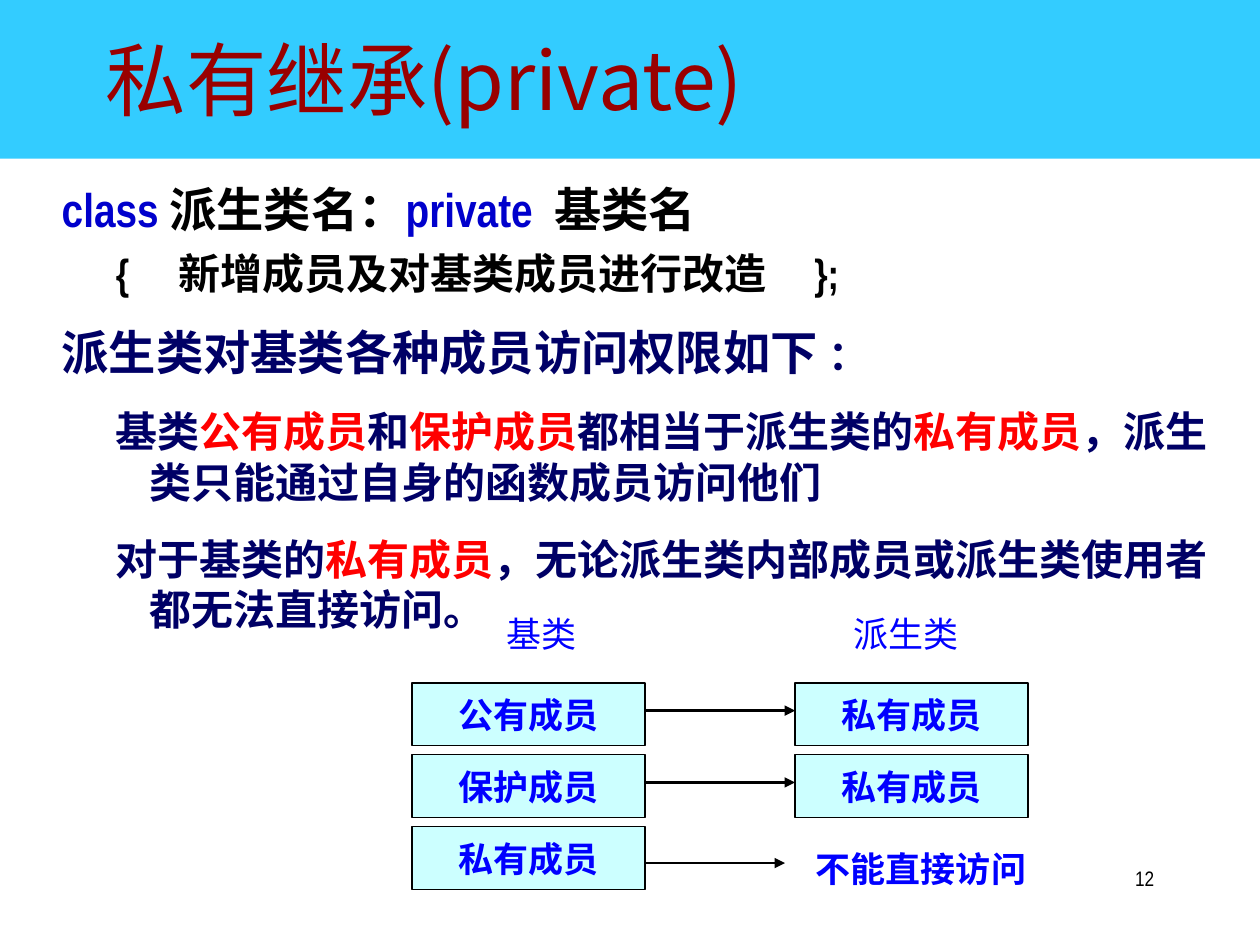
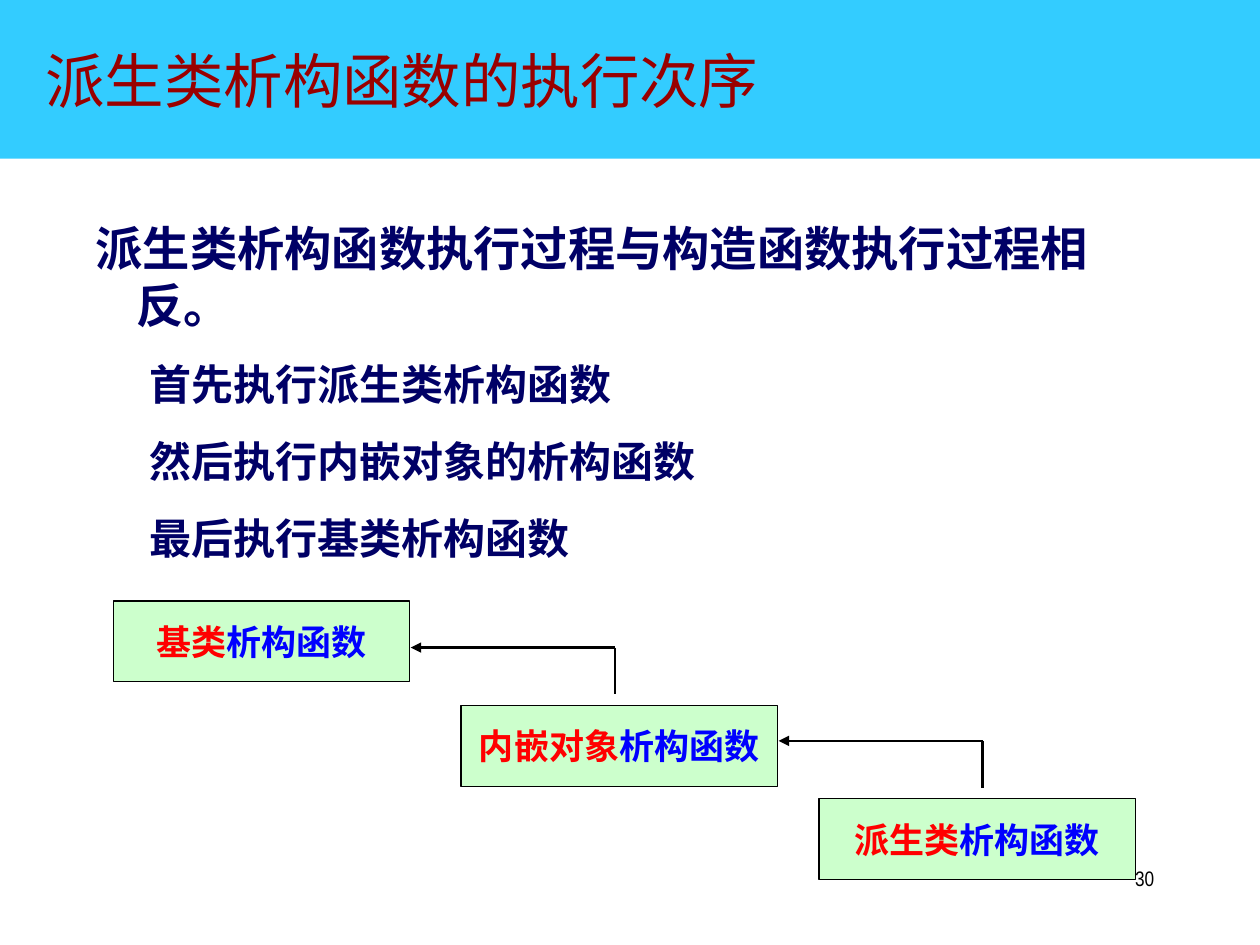
from lxml import etree
from pptx import Presentation
from pptx.dml.color import RGBColor
from pptx.enum.shapes import MSO_CONNECTOR, MSO_SHAPE
from pptx.enum.text import MSO_ANCHOR, PP_ALIGN
from pptx.oxml.ns import qn
from pptx.util import Inches, Pt

LEFT, CENTER, RIGHT = PP_ALIGN.LEFT, PP_ALIGN.CENTER, PP_ALIGN.RIGHT
TOP, MIDDLE = MSO_ANCHOR.TOP, MSO_ANCHOR.MIDDLE
RECTANGLE, STRAIGHT = MSO_SHAPE.RECTANGLE, MSO_CONNECTOR.STRAIGHT

# Shared look
NARROW, CJK = "Arial Narrow", "Noto Sans CJK SC"
SKY, MAROON, NAVY, RED = "33CCFF", "990000", "000066", "FF0000"
BLUE, KEYWORD, BLACK, WHITE = "0000FF", "0000CC", "000000", "FFFFFF"
CYAN, MINT = "CCFFFF", "CCFFCC"
INSETS = (0.09, 0.04, 0.09, 0.04)
TAB_STEP = 0.857


def color(value):
    return RGBColor.from_string(value)


def add_run(paragraph, text, size, fill, font, bold):
    run = paragraph.add_run()
    run.text = text
    run.font.name = font
    run.font.size = Pt(size)
    run.font.bold = bold
    run.font.color.rgb = color(fill)
    east_asian = etree.Element(qn("a:ea"), typeface=CJK)
    run.font._element.find(qn("a:latin")).addnext(east_asian)


def write(paragraph, runs, size=20, font=NARROW, bold=False, align=LEFT):
    """Write (text, color) or (text, color, size) runs into a paragraph."""
    paragraph.alignment = align
    for text, fill, *own_size in runs:
        add_run(paragraph, text, own_size[0] if own_size else size, fill, font, bold)


def set_frame(frame, insets, anchor=TOP, wrap=True):
    frame.word_wrap = wrap
    frame.vertical_anchor = anchor
    frame.margin_left, frame.margin_top, frame.margin_right, frame.margin_bottom = map(Inches, insets)


def add_text(slide, place, runs, anchor=TOP, wrap=True, **text_format):
    box = slide.shapes.add_textbox(*map(Inches, place))
    set_frame(box.text_frame, INSETS, anchor, wrap)
    write(box.text_frame.paragraphs[0], runs, **text_format)


def add_rectangle(slide, place, fill, line=None):
    shape = slide.shapes.add_shape(RECTANGLE, *map(Inches, place))
    shape.shadow.inherit = False
    shape.fill.solid()
    shape.fill.fore_color.rgb = color(fill)
    if line:
        shape.line.color.rgb = color(line)
        shape.line.width = Pt(0.75)
    else:
        shape.line.fill.background()
    return shape


def add_box(slide, place, runs, fill, line=BLACK):
    box = add_rectangle(slide, place, fill, line)
    set_frame(box.text_frame, (0, 0.05, 0, 0.05), MIDDLE, wrap=False)
    write(box.text_frame.paragraphs[0], runs, bold=True, align=CENTER)


def add_line(slide, start, end, arrow=True):
    line = slide.shapes.add_connector(STRAIGHT, *map(Inches, start + end))
    line.line.color.rgb = color(BLACK)
    line.line.width = Pt(1.5)
    if arrow:
        etree.SubElement(line.line._get_or_add_ln(), qn("a:tailEnd"), type="triangle")
    etree.SubElement(line._element.spPr, qn("a:effectLst"))


def add_tabs(paragraph):
    tabs = etree.SubElement(paragraph._p.get_or_add_pPr(), qn("a:tabLst"))
    for index in range(8):
        etree.SubElement(tabs, qn("a:tab"), pos=str(Inches(index * TAB_STEP)), algn="l")


def add_body(slide, place, items, insets=INSETS):
    """Each item is (level, space before, font, runs)."""
    box = slide.shapes.add_textbox(*map(Inches, place))
    frame = box.text_frame
    set_frame(frame, insets)
    for index, (level, space, font, runs) in enumerate(items):
        paragraph = frame.add_paragraph() if index else frame.paragraphs[0]
        size, margin, indent = ((27, 0.32, -0.32), (24, 0.7, -0.27))[level]
        paragraph.level = level
        paragraph.line_spacing = Pt(size * 1.2)
        paragraph.space_before = Pt(space)
        properties = paragraph._p.get_or_add_pPr()
        properties.set("marL", str(Inches(margin)))
        properties.set("indent", str(Inches(indent)))
        add_tabs(paragraph)
        write(paragraph, runs, size=size, font=font, bold=True)


def start_slide(presentation, title, title_place, title_size, title_font, number):
    slide = presentation.slides.add_slide(presentation.slide_layouts[6])
    add_rectangle(slide, (0, 0, 10, 1.26), SKY)
    add_text(slide, (7.17, 6.83, 2.08, 0.5), [(number, BLACK)], size=12, align=RIGHT)
    add_text(slide, title_place, [(title, MAROON)], anchor=MIDDLE, size=title_size, font=title_font)
    return slide


def build_private_inheritance(presentation):
    slide = start_slide(presentation, "私有继承(private)", (0.75, 0, 8.52, 1.25), 46, CJK, "12")
    add_body(slide, (0.4, 1.39, 9.36, 5.92), [
        (0, 0, NARROW, [("class ", KEYWORD), ("派生类名：", BLACK),
                        ("private  ", KEYWORD), ("基类名", BLACK)]),
        (1, 6, NARROW, [("{\t   新增成员及对基类成员进行改造     };", BLACK)]),
        (0, 14.4, CJK, [("派生类对基类各种成员访问权限如下 ", NAVY), ("：", NAVY, 23)]),
        (1, 15, CJK, [("基类", NAVY), ("公有成员", RED), ("和", NAVY), ("保护成员", RED),
                      ("都相当于派生类的", NAVY), ("私有成员", RED),
                      ("，派生类只能通过自身的函数成员访问他们", NAVY)]),
        (1, 15, CJK, [("对于基类的", NAVY), ("私有成员", RED),
                      ("，无论派生类内部成员或派生类使用者都无法直接访问。", NAVY)]),
    ])

    # Access map from base class to derived class
    base_left, derived_left, width, height = 3.27, 6.31, 1.85, 0.5
    for left, heading in ((3.56, "基类"), (6.45, "派生类")):
        add_text(slide, (left, 4.85, 1.48, 0.36), [(heading, BLUE)],
                 anchor=MIDDLE, wrap=False, align=CENTER)
    for row, member in enumerate(("公有成员", "保护成员", "私有成员")):
        top = 5.42 + row * 0.57
        add_box(slide, (base_left, top, width, height), [(member, BLUE)], CYAN)
        if row < 2:
            add_box(slide, (derived_left, top, width, height), [("私有成员", BLUE)], CYAN)
            add_line(slide, (base_left + width, top + 0.22), (derived_left, top + 0.22))
    add_box(slide, (derived_left, 6.64, 2, height), [("不能直接访问", BLUE)], WHITE, WHITE)
    add_line(slide, (base_left + width, 6.85), (6.23, 6.85))


def build_destructor_order(presentation):
    slide = start_slide(presentation, "派生类析构函数的执行次序", (0.27, 0.36, 8.52, 0.55), 34, NARROW, "30")
    steps = ("首先执行派生类析构函数", "然后执行内嵌对象的析构函数", "最后执行基类析构函数")
    # The wider right inset keeps the last two characters together on the second line
    add_body(slide, (0.67, 1.7, 8.5, 3.07),
             [(0, 0, CJK, [("派生类析构函数执行过程与构造函数执行过程相反。", NAVY)])]
             + [(1, 15, CJK, [(step, NAVY)]) for step in steps],
             insets=(0.09, 0.04, 0.3, 0.04))

    # Staircase of destructors
    for left, top, width, owner in ((0.9, 4.77, 2.35, "基类"), (3.66, 5.6, 2.51, "内嵌对象"),
                                    (6.5, 6.34, 2.51, "派生类")):
        add_box(slide, (left, top, width, 0.64), [(owner, RED), ("析构函数", BLUE)], MINT)

    # Elbow arrows back up the stairs
    for tip, y in ((3.26, 5.14), (6.18, 5.88)):
        corner = (tip + 1.62, y)
        add_line(slide, corner, (tip, y))
        add_line(slide, corner, (corner[0], y + 0.37), arrow=False)


def main():
    presentation = Presentation()
    presentation.slide_width, presentation.slide_height = Inches(10), Inches(7.5)
    build_private_inheritance(presentation)
    build_destructor_order(presentation)
    presentation.save("out.pptx")


if __name__ == "__main__":
    main()
